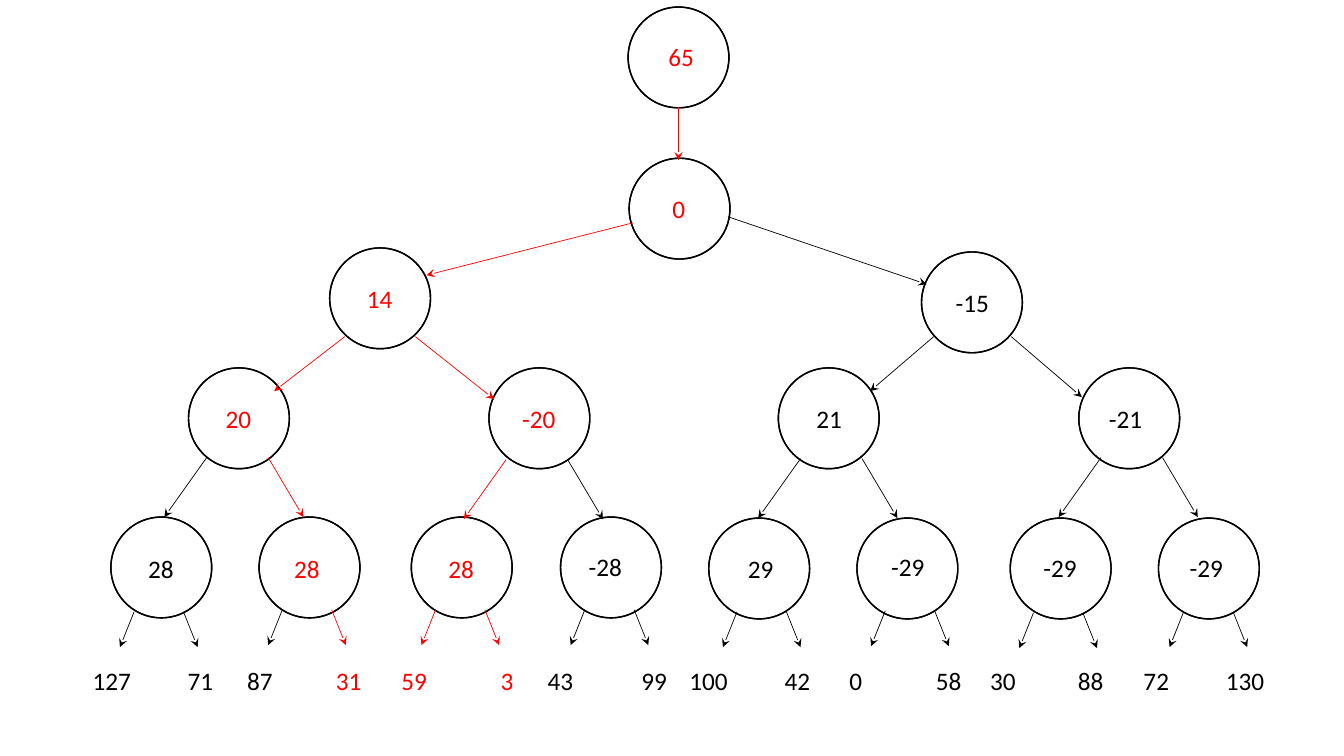
from lxml import etree
from pptx import Presentation
from pptx import util as u
from pptx.dml.color import RGBColor
from pptx.enum import shapes, text
from pptx.oxml import ns

PX = 9144
INK = {"hot": "FF0000", "ink": "000000"}
WIDE = {1: 33, 2: 46, 3: 54}

# label, circle left and top, label left and top, colour
NODES = [
    ("65", 623, 7, 653, 36, "hot"),
    ("0", 624, 157, 657, 187, "hot"),
    ("14", 327, 246, 354, 276, "hot"),
    ("-15", 914, 250, 938, 280, "ink"),
    ("20", 187, 365, 214, 395, "hot"),
    ("-20", 485, 365, 508, 395, "hot"),
    ("21", 772, 365, 800, 395, "ink"),
    ("-21", 1070, 365, 1090, 395, "ink"),
    ("28", 110, 513, 137, 544, "ink"),
    ("28", 257, 513, 282, 544, "hot"),
    ("28", 408, 513, 435, 544, "hot"),
    ("-28", 556, 513, 574, 542, "ink"),
    ("29", 703, 514, 732, 544, "ink"),
    ("-29", 850, 514, 874, 542, "ink"),
    ("-29", 1002, 514, 1025, 543, "ink"),
    ("-29", 1149, 514, 1170, 543, "ink"),
]

# start x and y, end x and y, colour
LINKS = [
    (673, 106, 673, 159, "hot"),
    (628, 221, 423, 273, "hot"),
    (722, 215, 919, 282, "ink"),
    (342, 334, 272, 388, "hot"),
    (412, 334, 490, 396, "hot"),
    (926, 334, 863, 388, "ink"),
    (1003, 334, 1073, 394, "ink"),
]

# left start x and y, colours of the left and right arrow
FORKS = [
    (205, 454, "ink", "hot"),
    (502, 456, "hot", "ink"),
    (794, 455, "ink", "ink"),
    (1092, 454, "ink", "ink"),
]
TWIGS = [
    (133, 607, "ink", "ink"),
    (280, 605, "ink", "hot"),
    (432, 605, "hot", "hot"),
    (580, 605, "ink", "ink"),
    (731, 607, "ink", "ink"),
    (878, 606, "ink", "ink"),
    (1025, 608, "ink", "ink"),
    (1174, 607, "ink", "ink"),
]

# value, centre x, colour
LEAVES = [
    ("127", 111, "ink"), ("71", 199, "ink"),
    ("87", 258, "ink"), ("31", 346, "hot"),
    ("59", 411, "hot"), ("3", 503, "hot"),
    ("43", 556, "ink"), ("99", 649, "ink"),
    ("100", 703, "ink"), ("42", 791, "ink"),
    ("0", 849, "ink"), ("58", 941, "ink"),
    ("30", 995, "ink"), ("88", 1082, "ink"),
    ("72", 1147, "ink"), ("130", 1235, "ink"),
]


def write(para, words, size=18, face="Calibri", tint="ink"):
    """Add one formatted run to a paragraph."""
    run = para.add_run()
    run.text = words
    run.font.size = u.Pt(size)
    run.font.name = face
    run.font.color.rgb = RGBColor.from_string(INK[tint])


class Tree:
    """Draw the parts of a search tree on one slide."""

    def __init__(self, slide):
        self.shapes = slide.shapes

    def box(self, x, y, wide, wrap):
        """Add a text box and return its first paragraph."""
        box = self.shapes.add_textbox(x * PX, y * PX, wide * PX, 40 * PX)
        frame = box.text_frame
        frame.word_wrap = wrap
        frame.auto_size = text.MSO_AUTO_SIZE.SHAPE_TO_FIT_TEXT
        return frame.paragraphs[0]

    def node(self, label, x, y, left, top, tint):
        """Add a ring with its label."""
        write(self.box(left, top, WIDE[len(label)], False), label, tint=tint)
        ring = self.shapes.add_shape(
            shapes.MSO_SHAPE.DONUT, x * PX, y * PX, 100 * PX, 100 * PX)
        ring.adjustments[0] = 0
        ring.shadow.inherit = False
        ring.fill.solid()
        ring.fill.fore_color.rgb = RGBColor.from_string(INK["ink"])
        ring.line.color.rgb = RGBColor.from_string(INK["ink"])
        ring.line.width = u.Pt(1)

    def arrow(self, x, y, endx, endy, tint):
        """Add a thin arrow."""
        line = self.shapes.add_connector(
            shapes.MSO_CONNECTOR.STRAIGHT,
            x * PX, y * PX, endx * PX, endy * PX)
        line.line.color.rgb = RGBColor.from_string(INK[tint])
        line.line.width = u.Pt(0.5)
        props = line._element.spPr
        tail = etree.SubElement(props.find(ns.qn("a:ln")), ns.qn("a:tailEnd"))
        tail.set("type", "stealth")
        etree.SubElement(props, ns.qn("a:effectLst"))

    def fork(self, x, y, left, right, gap, back, ahead, drop):
        """Add the two arrows that leave a node."""
        self.arrow(x, y, x - back, y + drop, left)
        self.arrow(x + gap, y, x + gap + ahead, y + drop, right)

    def leaves(self, items):
        """Add the row of values, each centred on a tab stop."""
        left = 82
        para = self.box(left, 655, 1207, True)
        stops = etree.SubElement(
            para._p.get_or_add_pPr(), ns.qn("a:tabLst"))
        for place, (value, mid, tint) in enumerate(items):
            if place:
                stop = etree.SubElement(stops, ns.qn("a:tab"))
                stop.set("pos", str((mid - left - 10) * PX))
                stop.set("algn", "ctr")
            write(para, "\t" + value if place else value, tint=tint)


def main():
    """Build and save the slide."""
    deck = Presentation()
    deck.slide_width = 1333 * PX
    deck.slide_height = 750 * PX
    tree = Tree(deck.slides.add_slide(deck.slide_layouts[6]))
    for node in NODES:
        tree.node(*node)
    for link in LINKS:
        tree.arrow(*link)
    for fork in FORKS:
        tree.fork(*fork, gap=61, back=42, ahead=35, drop=59)
    for twig in TWIGS:
        tree.fork(*twig, gap=49, back=14, ahead=14, drop=35)
    tree.leaves(LEAVES)
    deck.save("out.pptx")


if __name__ == "__main__":
    main()
